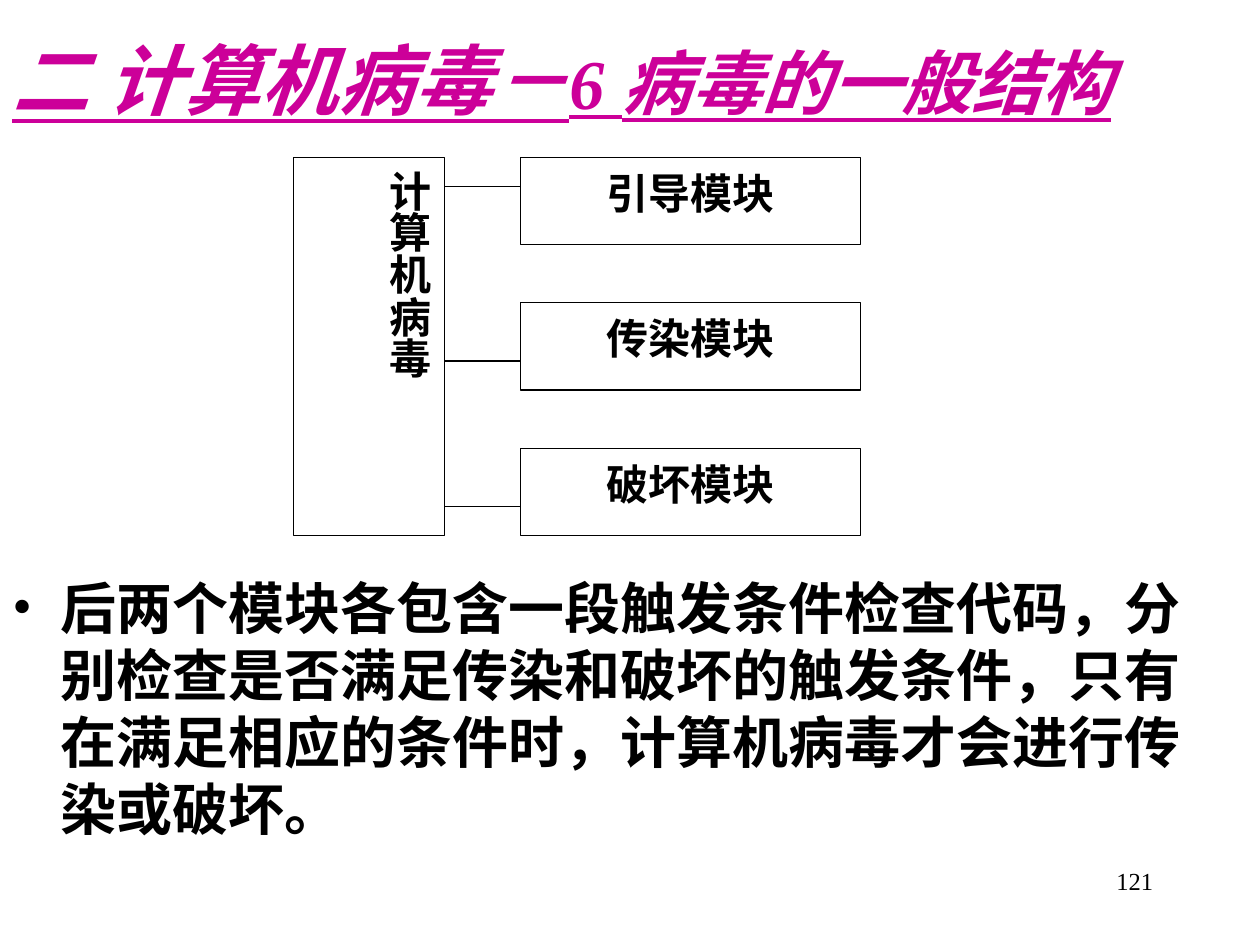
from lxml import etree
from pptx import Presentation
from pptx.dml.color import RGBColor
from pptx.enum.shapes import MSO_CONNECTOR, MSO_SHAPE
from pptx.enum.text import MSO_ANCHOR, PP_ALIGN
from pptx.oxml.ns import qn
from pptx.util import Inches, Pt

RECTANGLE = MSO_SHAPE.RECTANGLE
STRAIGHT = MSO_CONNECTOR.STRAIGHT
TOP, MIDDLE = MSO_ANCHOR.TOP, MSO_ANCHOR.MIDDLE
LEFT, CENTER, RIGHT = PP_ALIGN.LEFT, PP_ALIGN.CENTER, PP_ALIGN.RIGHT

WIDTH, HEIGHT = 10, 7.5
LATIN, CJK = "Times New Roman", "Noto Sans CJK SC"
BLACK, WHITE, MAGENTA = "000000", "FFFFFF", "CC0099"
COLUMNS, ROWS = 15, 13
MODULES = ["引导模块", "传染模块", "破坏模块"]
MODULE_PITCH = 5
LINK_ROWS = [1, 7, 12]


def color(value):
    """Turn a hex string into a colour."""
    return RGBColor.from_string(value)


def add_run(paragraph, text, size, hue=BLACK, bold=True, slanted=False, latin=LATIN):
    """Append one styled run with Latin and East Asian fonts."""
    run = paragraph.add_run()
    run.text = text
    font = run.font
    font.size, font.name, font.bold = Pt(size), latin, bold
    font.italic = font.underline = slanted
    font.color.rgb = color(hue)
    etree.SubElement(font._element, qn("a:ea"), typeface=CJK)


def open_text(shape, align=LEFT, anchor=TOP):
    """Prepare a wrapping text frame and return its first paragraph."""
    frame = shape.text_frame
    frame.word_wrap = True
    frame.vertical_anchor = anchor
    paragraph = frame.paragraphs[0]
    paragraph.alignment = align
    return paragraph


def add_area(slide, box):
    """Add a text box on the given box in inches."""
    return slide.shapes.add_textbox(*map(Inches, box))


def add_title(slide, box):
    """Write the underlined slide title."""
    title = open_text(add_area(slide, box), anchor=MIDDLE)
    for text, size in [("二 计算机病毒－", 44), ("6 病毒的一般结构", 40)]:
        add_run(title, text, size, MAGENTA, slanted=True)


def add_node(slide, box, label):
    """Draw one outlined box of the structure diagram."""
    node = slide.shapes.add_shape(RECTANGLE, *map(Inches, box))
    node.shadow.inherit = False
    node.fill.solid()
    node.fill.fore_color.rgb = color(WHITE)
    node.line.color.rgb = color(BLACK)
    node.line.width = Pt(0.75)
    caption = open_text(node, CENTER)
    caption.line_spacing = Pt(31)
    add_run(caption, label, 24)
    return node


def add_link(slide, start, end, y):
    """Draw a level line between the virus and a module."""
    link = slide.shapes.add_connector(
        STRAIGHT, Inches(start), Inches(y), Inches(end), Inches(y))
    link.line.color.rgb = color(BLACK)
    link.line.width = Pt(0.75)
    etree.SubElement(link._element.spPr, qn("a:effectLst"))


def add_structure(slide, box):
    """Lay out the virus, its modules and their links on a grid."""
    left, top, width, height = box
    column, row = width / COLUMNS, height / ROWS
    virus = add_node(slide, (left, top, 4 * column, height), "计算机病毒")
    frame = virus.text_frame
    frame.margin_left = frame.margin_right = Inches(0.05)
    frame.margin_top = frame.margin_bottom = Inches(0.1)
    frame._txBody.bodyPr.set("vert", "eaVert")
    module_left = left + 6 * column
    for index, module in enumerate(MODULES):
        module_top = top + index * MODULE_PITCH * row
        add_node(slide, (module_left, module_top, 9 * column, 3 * row), module)
    for link_row in LINK_ROWS:
        add_link(slide, left + 4 * column, module_left, top + link_row * row)


def add_explanation(slide, box):
    """Write the bulleted explanation with a hanging indent."""
    explanation = open_text(add_area(slide, box))
    explanation.line_spacing = Pt(38.4)
    properties = explanation._p.get_or_add_pPr()
    indent = Inches(0.38)
    properties.set("marL", str(indent))
    properties.set("indent", str(-indent))
    hue = etree.SubElement(properties, qn("a:buClr"))
    etree.SubElement(hue, qn("a:srgbClr"), val=BLACK)
    etree.SubElement(properties, qn("a:buFont"), typeface=LATIN)
    etree.SubElement(properties, qn("a:buChar"), char="•")
    add_run(explanation,
            "后两个模块各包含一段触发条件检查代码，分别检查是否满足传染和破坏的触发条件，"
            "只有在满足相应的条件时，计算机病毒才会进行传染或破坏。", 32, latin=CJK)


def add_page_number(slide, box):
    """Write the page number at the right."""
    add_run(open_text(add_area(slide, box), RIGHT), "121", 14, bold=False)


def main():
    """Build and save the slide."""
    deck = Presentation()
    deck.slide_width, deck.slide_height = Inches(WIDTH), Inches(HEIGHT)
    slide = deck.slides.add_slide(deck.slide_layouts[6])
    add_title(slide, (0, 0, 0.975 * WIDTH, HEIGHT / 6))
    add_explanation(slide, (0, 0.6 * HEIGHT, 0.98 * WIDTH, 0.3 * HEIGHT))
    add_structure(slide, (2.33, HEIGHT / 6, 0.45 * WIDTH, 0.4 * HEIGHT))
    add_page_number(slide, (7.17, 0.91 * HEIGHT, 2.08, HEIGHT / 15))
    deck.save("out.pptx")


if __name__ == "__main__":
    main()
